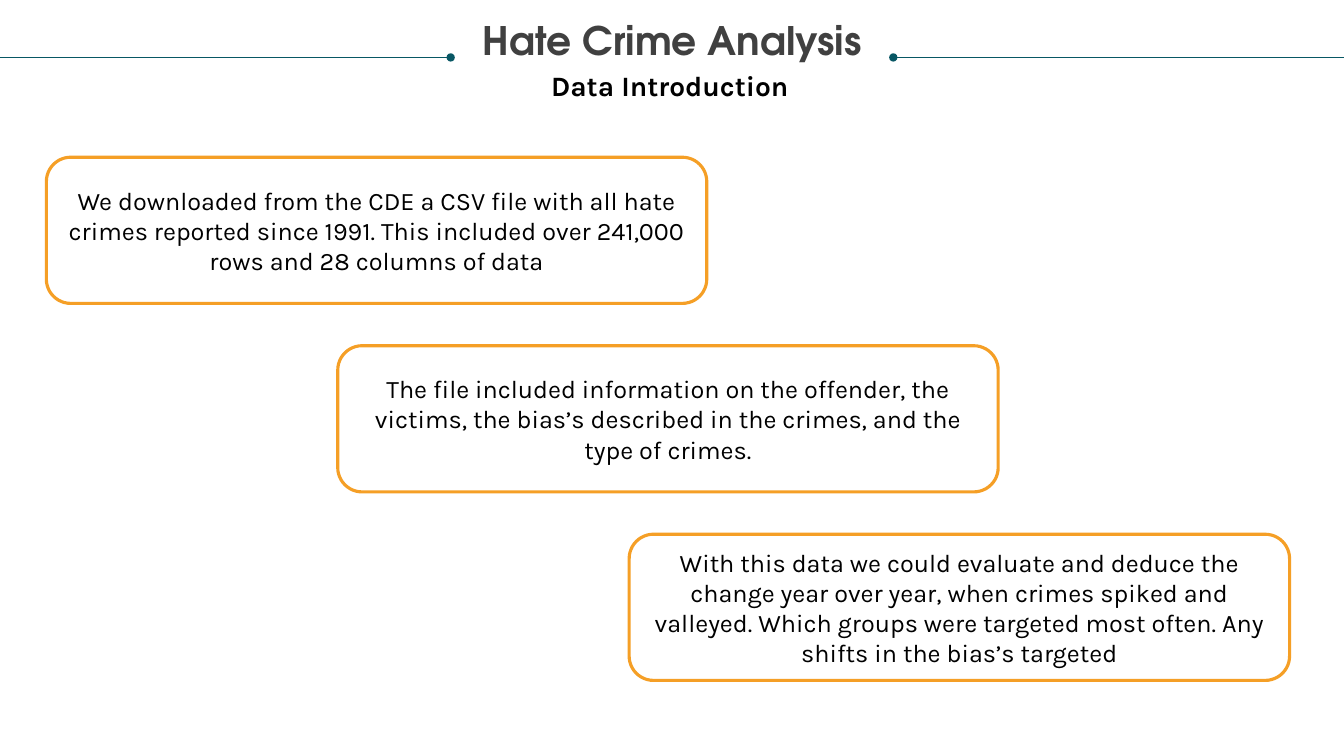
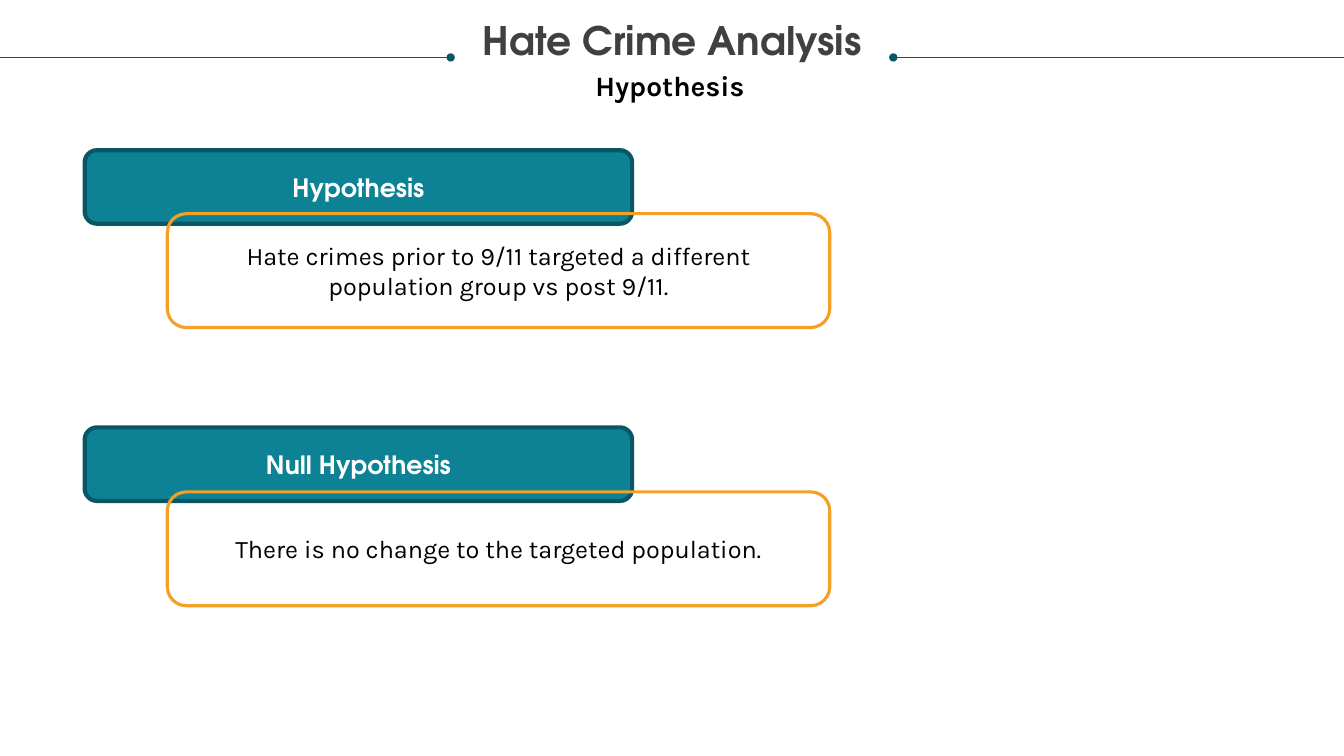
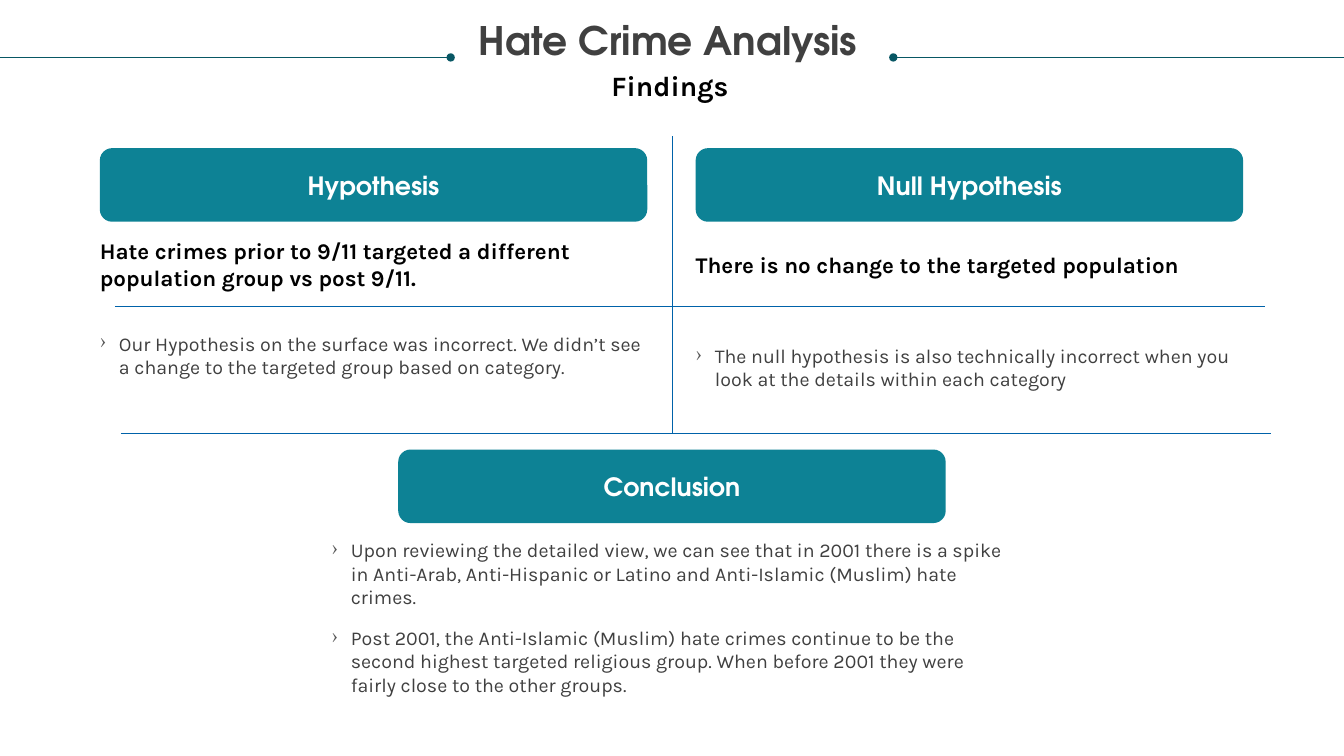
from lxml import etree
from pptx import Presentation
from pptx import util as u
from pptx.dml.color import RGBColor
from pptx.enum import shapes, text
from pptx.oxml import ns

TEAL, DARK_TEAL, ORANGE, BLUE = "0D8295", "085764", "F59F26", "0062A9"
BLACK, WHITE, GRAY, BULLET_GRAY = "000000", "FFFFFF", "404040", "585858"
HEADING_FONT, BODY_FONT = "TeX Gyre Adventor", "Karla"

color = RGBColor.from_string


def add_text(slide, box, *lines, size=18, font=BODY_FONT, ink=BLACK, bold=False,
             centered=True, rounded=False, fill=None, outline=None, outline_width=2.25,
             inset=True, spacing=None, bullets=False):
    box = [u.Inches(length) for length in box]
    if rounded:
        shape = slide.shapes.add_shape(shapes.MSO_SHAPE.ROUNDED_RECTANGLE, *box)
        shape.shadow.inherit = False
        if fill:
            shape.fill.solid()
            shape.fill.fore_color.rgb = color(fill)
        else:
            shape.fill.background()
        if outline:
            shape.line.color.rgb = color(outline)
            shape.line.width = u.Pt(outline_width)
        else:
            shape.line.fill.background()
    else:
        shape = slide.shapes.add_textbox(*box)
    frame = shape.text_frame
    frame.word_wrap = True
    if rounded:
        frame.vertical_anchor = text.MSO_ANCHOR.MIDDLE
    else:
        frame.auto_size = text.MSO_AUTO_SIZE.SHAPE_TO_FIT_TEXT
    if not inset:
        frame.margin_left = frame.margin_right = frame.margin_top = frame.margin_bottom = 0
    for index, line in enumerate(lines):
        paragraph = frame.add_paragraph() if index else frame.paragraphs[0]
        paragraph.alignment = text.PP_ALIGN.CENTER if centered else text.PP_ALIGN.LEFT
        if spacing:
            paragraph.line_spacing = spacing
        run = paragraph.add_run()
        run.text = line
        run.font.size = u.Pt(size)
        run.font.name = font
        run.font.bold = bold
        run.font.color.rgb = color(ink)
        if bullets:
            paragraph.space_before = u.Pt(12)
            properties = paragraph._p.get_or_add_pPr()
            properties.set("marL", str(u.Inches(0.19)))
            properties.set("indent", str(u.Inches(-0.19)))
            bullet_color = etree.SubElement(properties, ns.qn("a:buClr"))
            etree.SubElement(bullet_color, ns.qn("a:srgbClr"), val=BULLET_GRAY)
            etree.SubElement(properties, ns.qn("a:buChar"), char="›")


def add_line(slide, start, end, ink, dot=None):
    points = [u.Inches(length) for length in (*start, *end)]
    connector = slide.shapes.add_connector(shapes.MSO_CONNECTOR.STRAIGHT, *points)
    connector.line.color.rgb = color(ink)
    connector.line.width = u.Pt(0.5)
    if dot:
        etree.SubElement(connector.line._get_or_add_ln(), ns.qn(dot), type="oval")
    etree.SubElement(connector._element.spPr, ns.qn("a:effectLst"))


presentation = Presentation()
presentation.slide_width = u.Inches(13.33)
presentation.slide_height = u.Inches(7.5)

heading = dict(font=HEADING_FONT, ink=WHITE, bold=True, rounded=True, fill=TEAL)
card = dict(rounded=True, outline=ORANGE)
claim = dict(size=16, bold=True, centered=False, inset=False)
bullet_list = dict(size=14, ink=GRAY, centered=False, inset=False, bullets=True)

slides = []
for subtitle, title_left in [("Data Introduction", 0.25), ("Hypothesis", 0.25), ("Findings", 0.21)]:
    slide = presentation.slides.add_slide(presentation.slide_layouts[6])
    add_line(slide, (8.86, 0.57), (13.33, 0.57), DARK_TEAL, dot="a:headEnd")
    add_line(slide, (0, 0.57), (4.47, 0.57), DARK_TEAL, dot="a:tailEnd")
    add_text(slide, (title_left, 0.21, 12.83, 0.42), "Hate Crime Analysis", size=28,
             font=HEADING_FONT, ink=GRAY, bold=True, inset=False, spacing=0.9)
    add_text(slide, (4.81, 0.63, 3.67, 0.44), subtitle, size=20, bold=True)
    slides.append(slide)
introduction, hypothesis, findings = slides

steps = [
    "We downloaded from the CDE a CSV file with all hate crimes reported since 1991. "
    "This included over 241,000 rows and 28 columns of data",
    "The file included information on the offender, the victims, the bias’s described "
    "in the crimes, and the type of crimes.",
    "With this data we could evaluate and deduce the change year over year, when crimes "
    "spiked and valleyed. Which groups were targeted most often. Any shifts in the bias’s targeted",
]
for index, step in enumerate(steps):
    add_text(introduction, (0.46 + 2.89 * index, 1.56 + 1.87 * index, 6.55, 1.45), step, **card)

statements = [
    ("Hypothesis", 1.49, 2.12,
     "Hate crimes prior to 9/11 targeted a different population group vs post 9/11."),
    ("Null Hypothesis", 4.24, 4.88, "There is no change to the targeted population."),
]
for name, heading_top, card_top, statement in statements:
    add_text(hypothesis, (0.84, heading_top, 5.43, 0.73), name,
             outline=DARK_TEAL, outline_width=3, **heading)
    add_text(hypothesis, (1.66, card_top, 6.57, 1.13), statement, **card)

columns = [
    (0.99, "Hypothesis", 2.35, 0.54,
     "Hate crimes prior to 9/11 targeted a different population group vs post 9/11.", 3.29,
     "Our Hypothesis on the surface was incorrect. We didn’t see a change to the "
     "targeted group based on category."),
    (6.9, "Null Hypothesis", 2.49, 0.27,
     "There is no change to the targeted population", 3.41,
     "The null hypothesis is also technically incorrect when you look at the details "
     "within each category"),
]
for left, name, claim_top, claim_height, statement, result_top, result in columns:
    add_text(findings, (left, 1.47, 5.43, 0.73), name, **heading)
    add_text(findings, (left, claim_top, 5.43, claim_height), statement, **claim)
    add_text(findings, (left, result_top, 5.43, 0.47), result, **bullet_list)

for start, end in [((1.14, 3.04), (12.55, 3.04)), ((6.67, 1.35), (6.67, 4.3)),
                   ((1.2, 4.3), (12.61, 4.3))]:
    add_line(findings, start, end, BLUE)

add_text(findings, (3.95, 4.46, 5.43, 0.73), "Conclusion", **heading)
add_text(
    findings, (3.29, 5.34, 6.76, 1.35),
    "Upon reviewing the detailed view, we can see that in 2001 there is a spike in "
    "Anti-Arab, Anti-Hispanic or Latino and Anti-Islamic (Muslim) hate crimes.",
    "Post 2001, the Anti-Islamic (Muslim) hate crimes continue to be the second highest "
    "targeted religious group. When before 2001 they were fairly close to the other groups.",
    **bullet_list)

presentation.save("out.pptx")
